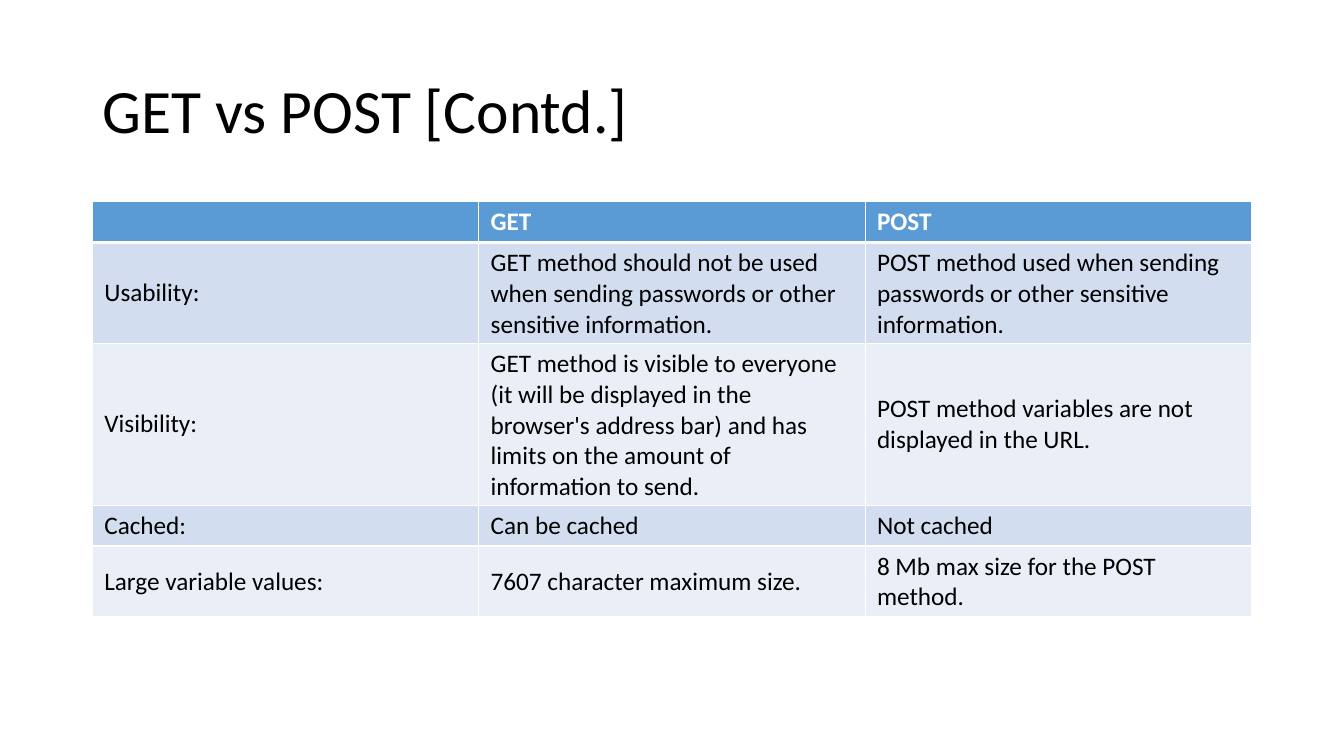
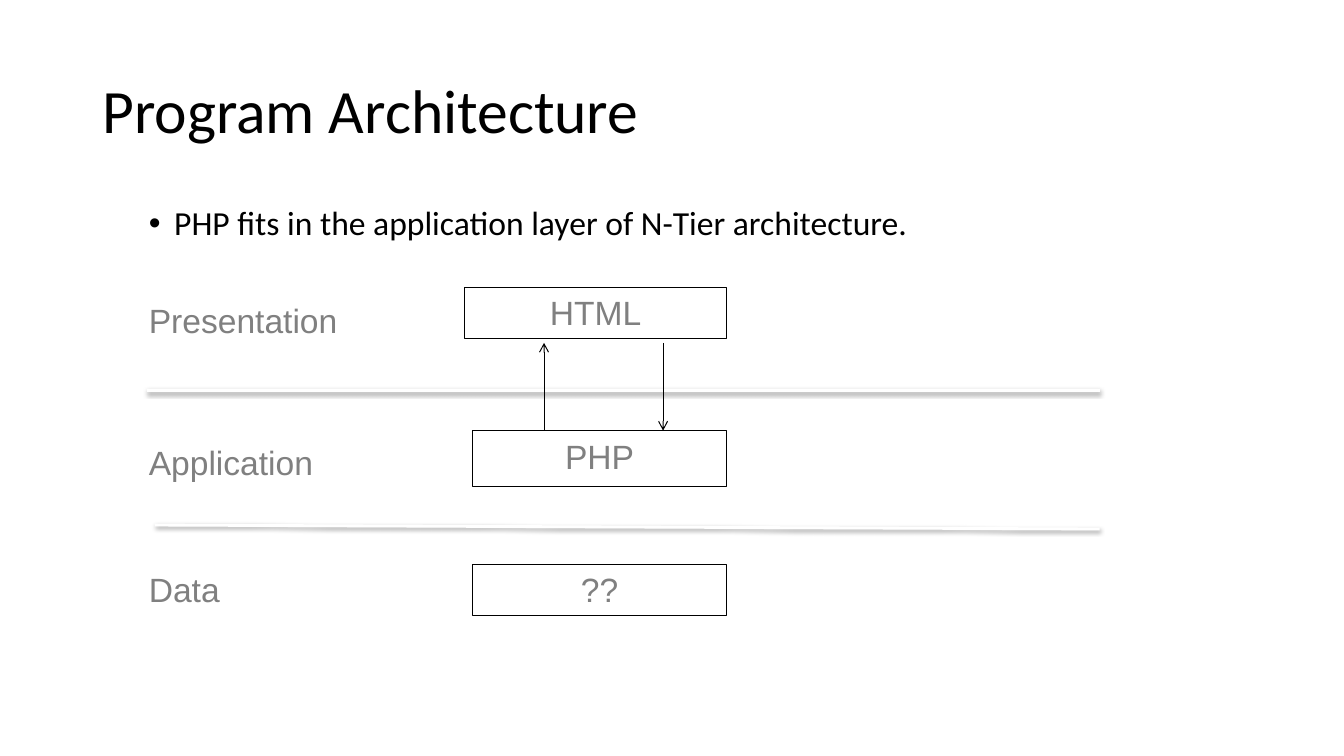
from lxml import etree
from pptx import Presentation
from pptx.dml.color import RGBColor
from pptx.enum.shapes import MSO_CONNECTOR, MSO_SHAPE
from pptx.enum.text import MSO_ANCHOR, PP_ALIGN
from pptx.oxml.ns import qn
from pptx.util import Cm, Pt

LINE, RECT = MSO_CONNECTOR.STRAIGHT, MSO_SHAPE.RECTANGLE
TOP, MIDDLE = MSO_ANCHOR.TOP, MSO_ANCHOR.MIDDLE
LEFT, CENTER = PP_ALIGN.LEFT, PP_ALIGN.CENTER

BLACK = RGBColor(0, 0, 0)
WHITE = RGBColor(255, 255, 255)
GRAY = RGBColor(0x80, 0x80, 0x80)
BLUE = RGBColor(0x5B, 0x9B, 0xD5)
BANDS = RGBColor(0xD2, 0xDE, 0xEF), RGBColor(0xEA, 0xEF, 0xF7)

WIDE, HIGH = 33.87, 19.05
TITLE = 2.33, 1.02, 29.21, 3.68
GRID = 2.33, 5.08, 29.21, 10.44
BODY = 3.5, 5.08, 25.15, 12.09

ROWS = [
    ("", "GET", "POST"),
    ("Usability:",
     "GET method should not be used when sending passwords or other "
     "sensitive information.",
     "POST method used when sending passwords or other sensitive "
     "information."),
    ("Visibility:",
     "GET method is visible to everyone (it will be displayed in the "
     "browser's address bar) and has limits on the amount of information "
     "to send.",
     "POST method variables are not displayed in the URL."),
    ("Cached:", "Can be cached", "Not cached"),
    ("Large variable values:", "7607 character maximum size.",
     "8 Mb max size for the POST method."),
]

# Label, label top, box text, box left, box top, box height (from BODY)
TIERS = [
    ("Presentation", 2.36, "HTML", 8.21, 2.16, 1.28),
    ("Application", 5.94, "PHP", 8.41, 5.77, 1.4),
    ("Data", 9.14, "??", 8.41, 9.14, 1.28),
]
EDGE = 14.81  # shared right side of the tier boxes
RULES = [(0.2, 4.75, 4.75), (0.4, 8.15, 8.25)]
ARROWS = [(10.21, 5.77, 3.56), (13.21, 3.56, 5.77)]


def add(parent, tag, **attrs):
    """Append a drawing element and return it."""
    node = etree.SubElement(parent, qn("a:" + tag))
    for name, value in attrs.items():
        node.set(name, str(value))
    return node


def write(frame, text, size=24, font="Arial", color=GRAY, bold=False,
          align=LEFT, anchor=TOP, space=1.0, before=0, bullet=None):
    """Put one formatted paragraph in a text frame."""
    frame.word_wrap = True
    frame.vertical_anchor = anchor
    para = frame.paragraphs[0]
    para.alignment, para.line_spacing = align, space
    para.space_before = Pt(before)
    run = para.add_run()
    run.text = text
    run.font.size, run.font.name = Pt(size), font
    run.font.bold, run.font.color.rgb = bold, color
    if bullet:
        props = para._p.get_or_add_pPr()
        props.set("marL", str(Cm(0.64)))
        props.set("indent", str(-Cm(0.64)))
        add(props, "buFont", typeface="Arial")
        add(props, "buChar", char=bullet)


def label(slide, box, text, **style):
    """Add a text box."""
    area = slide.shapes.add_textbox(*map(Cm, box))
    write(area.text_frame, text, **style)


def block(slide, box, text):
    """Add an outlined box with centred text."""
    shape = slide.shapes.add_shape(RECT, *map(Cm, box))
    shape.shadow.inherit = False
    shape.fill.background()
    shape.line.color.rgb, shape.line.width = BLACK, Pt(0.75)
    write(shape.text_frame, text, align=CENTER)


def line(slide, ends, color, width, arrow=False, shadow=False):
    """Add a straight line with an optional arrowhead or soft shadow."""
    link = slide.shapes.add_connector(LINE, *map(Cm, ends))
    link.line.color.rgb, link.line.width = color, Pt(width)
    if arrow:
        add(link.line._ln, "tailEnd", type="arrow")
    effect = add(link._element.spPr, "effectLst")
    if shadow:
        cast = add(effect, "outerShdw", blurRad=Pt(3.1), dist=Pt(1.6),
                   dir=5400000, rotWithShape=0)
        add(add(cast, "srgbClr", val=BLACK), "alpha", val=38000)


def border(cell, top, bottom):
    """Draw white borders round a cell; widths are in points."""
    props = cell._tc.get_or_add_tcPr()
    for side, width in zip("LRTB", (1, 1, top, bottom)):
        edge = add(props, "ln" + side, w=Pt(width))
        add(add(edge, "solidFill"), "srgbClr", val=WHITE)


def grid(slide, box):
    """Add the comparison table with a header and banded rows."""
    frame = slide.shapes.add_table(len(ROWS), len(ROWS[0]), *map(Cm, box))
    table = frame.table
    for r, row in enumerate(ROWS):
        table.rows[r].height = Cm(1.03)
        head = r == 0
        for c, text in enumerate(row):
            cell = table.cell(r, c)
            border(cell, 3 if r == 1 else 1, 3 if head else 1)
            cell.fill.solid()
            cell.fill.fore_color.rgb = BLUE if head else BANDS[(r - 1) % 2]
            cell.margin_left = cell.margin_right = Cm(0.3)
            cell.margin_top = cell.margin_bottom = Cm(0.13)
            cell.vertical_anchor = TOP if head else MIDDLE
            write(cell.text_frame, text, size=18, font="Calibri", bold=head,
                  color=WHITE if head else BLACK,
                  anchor=cell.vertical_anchor)
    frame.height = Cm(box[3])


def tiers(slide, box):
    """Draw the three layers, their dividers and the arrows."""
    x, y = box[:2]
    for name, drop, text, left, top, tall in TIERS:
        block(slide, (x + left, y + top, EDGE - left, tall), text)
        label(slide, (x, y + drop, 7.7, 1.28), name)
    for left, start, end in RULES:
        line(slide, (x + left, y + start, x + 24.21, y + end), WHITE, 2,
             shadow=True)
    for left, start, end in ARROWS:
        line(slide, (x + left, y + start, x + left, y + end), BLACK, 0.75,
             arrow=True)


def page(deck, title):
    """Add a blank slide with the shared title style."""
    slide = deck.slides.add_slide(deck.slide_layouts[6])
    label(slide, TITLE, title, size=44, font="Calibri", color=BLACK,
          anchor=MIDDLE, space=0.9)
    return slide


def main():
    """Build and save both slides."""
    deck = Presentation()
    deck.slide_width, deck.slide_height = Cm(WIDE), Cm(HIGH)
    grid(page(deck, "GET vs POST [Contd.]"), GRID)
    slide = page(deck, "Program Architecture")
    label(slide, BODY,
          "PHP fits in the application layer of N-Tier architecture.",
          font="Calibri", color=BLACK, space=0.9, before=10, bullet="•")
    tiers(slide, BODY)
    deck.save("out.pptx")


main()
